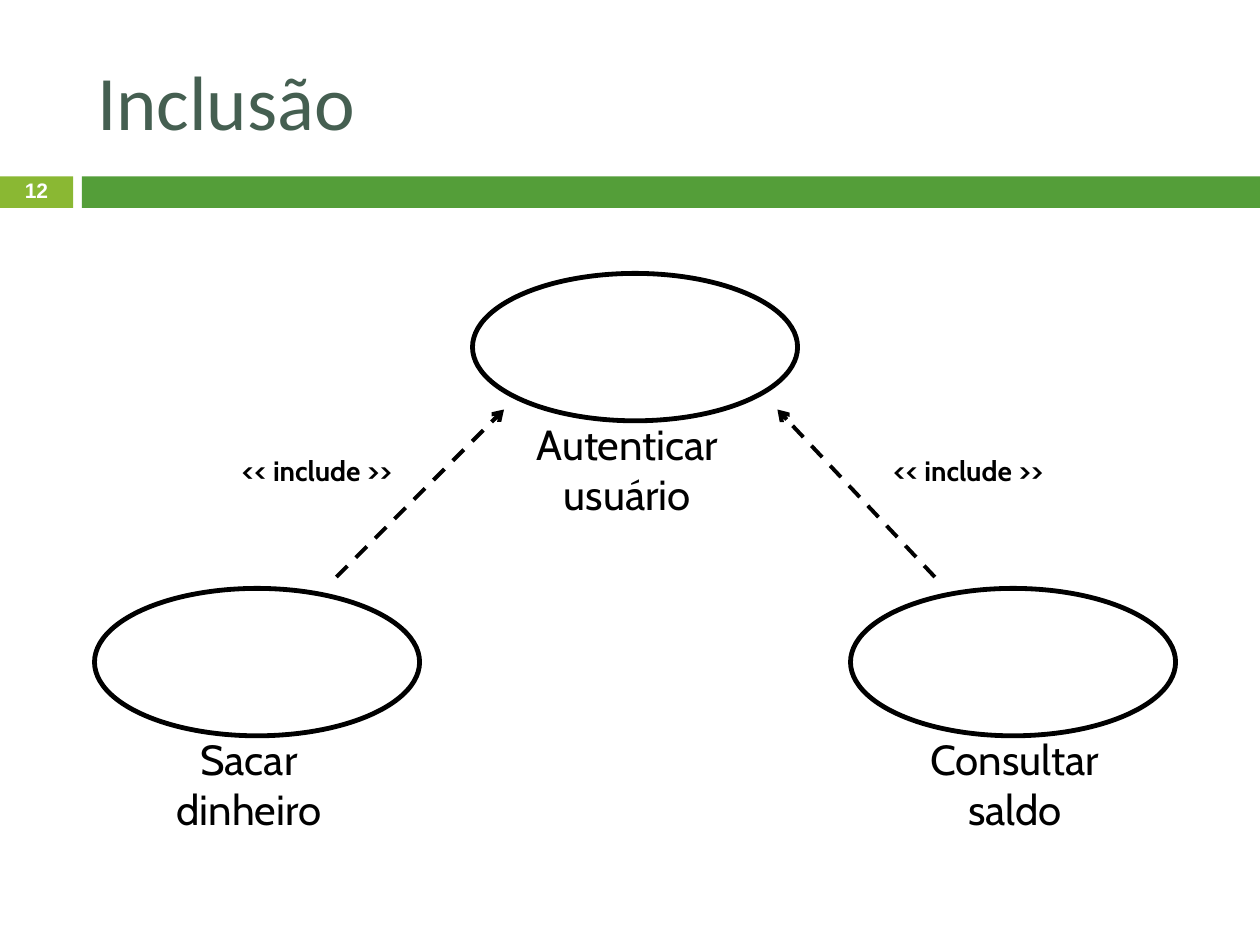
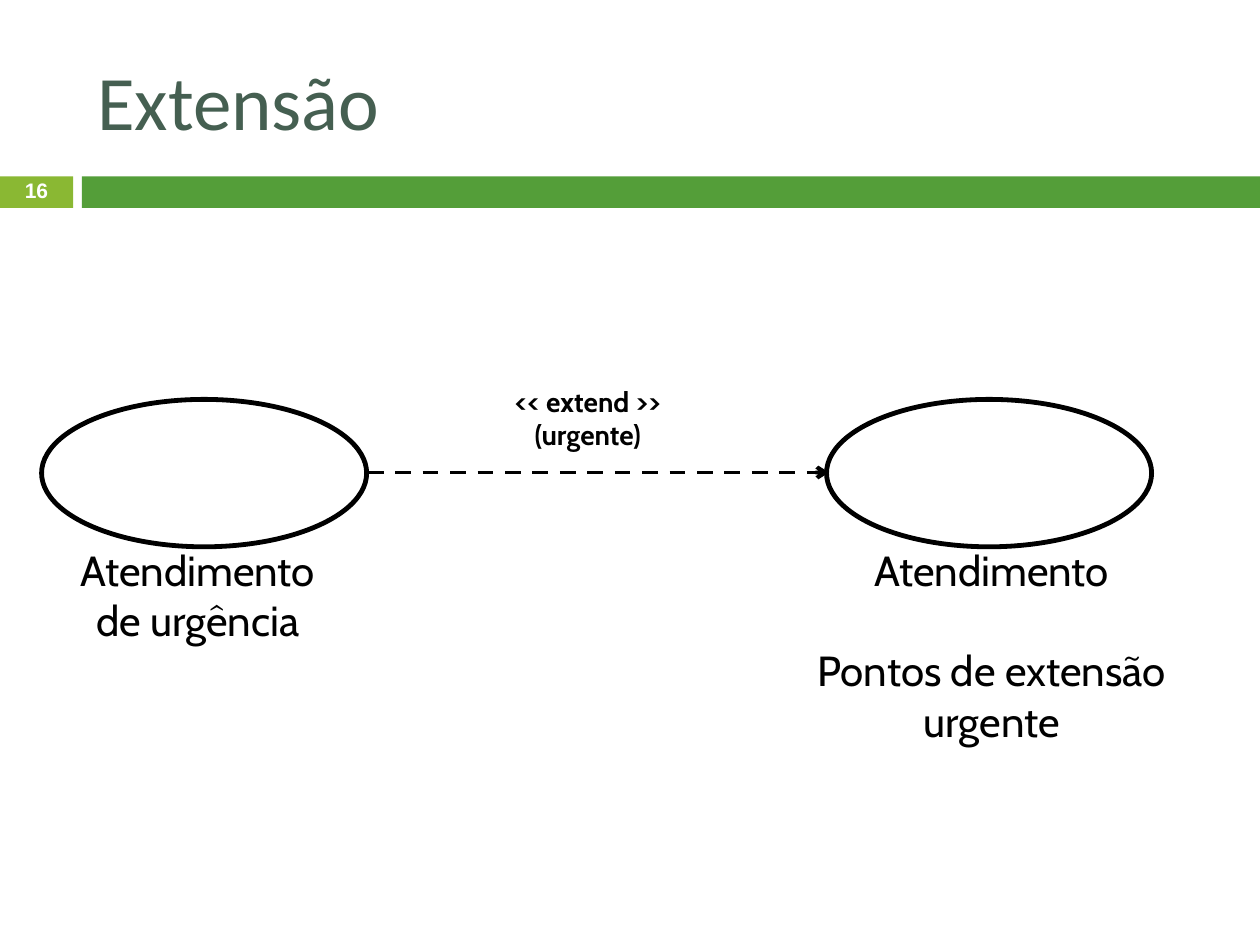
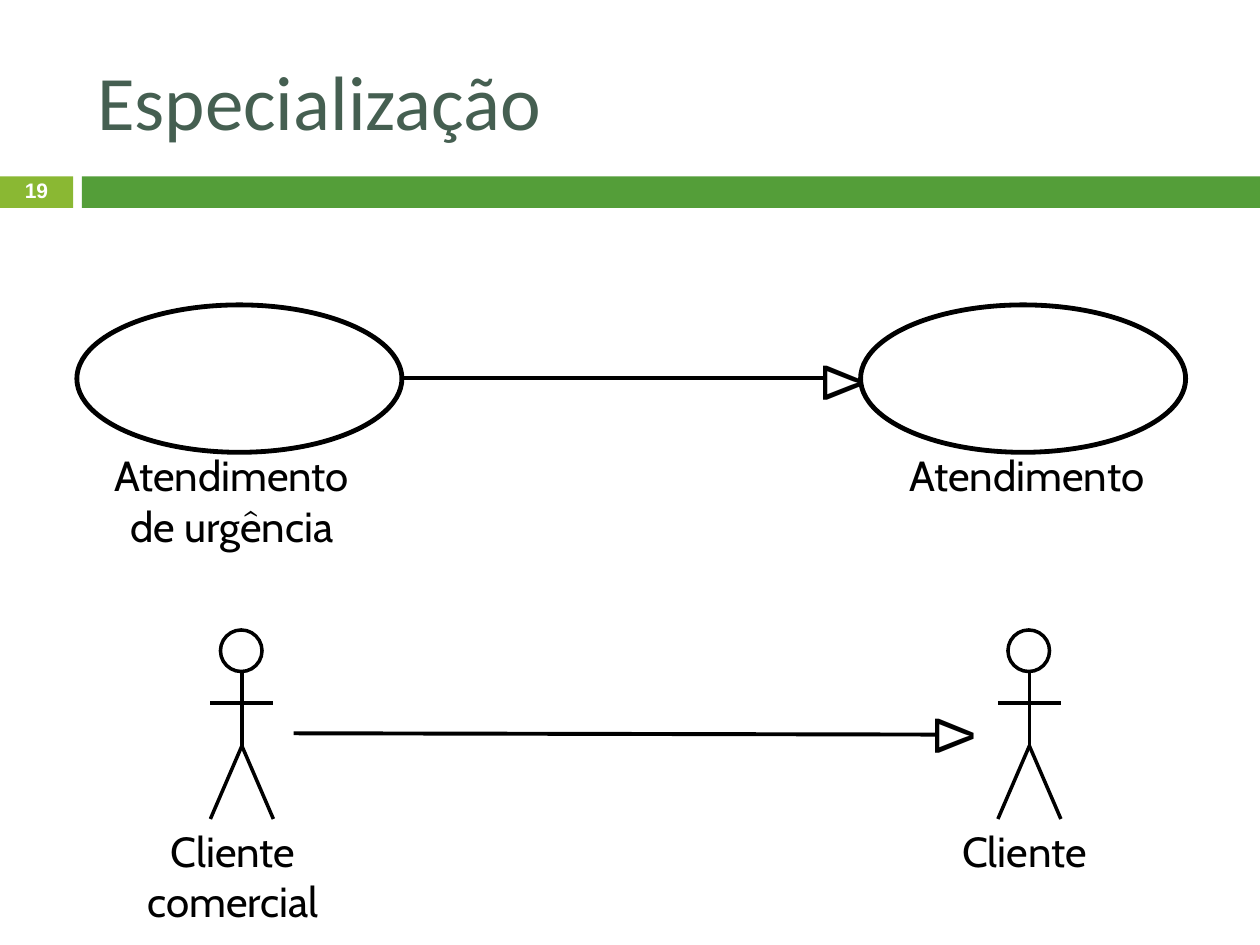
from lxml import etree
from pptx import Presentation
from pptx.dml.color import RGBColor
from pptx.enum.dml import MSO_LINE as Dash
from pptx.enum.shapes import MSO_CONNECTOR as Conn, MSO_SHAPE as Shape
from pptx.enum.text import MSO_ANCHOR as Anchor, MSO_AUTO_SIZE as Fit, PP_ALIGN as Align
from pptx.oxml.ns import qn
from pptx.util import Inches, Pt

# Colours and fonts
BLACK = RGBColor(0x00, 0x00, 0x00)
WHITE = RGBColor(0xFF, 0xFF, 0xFF)
LIME = RGBColor(0x8A, 0xB8, 0x33)
GREEN = RGBColor(0x54, 0x9E, 0x39)
SLATE = RGBColor(0x45, 0x5F, 0x51)
HEAD, BODY, PLAIN = "Calibri", "Cabin", "Arial"

# Size of a use case
CASE_W, CASE_H = 2.58, 1.17


def write(frame, text, font=BODY, size=24, color=BLACK, bold=False,
          align=Align.CENTER, anchor=Anchor.TOP, fit=Fit.NONE, wrap=False,
          lead=None, gaps=None):
    """Fill a frame, one paragraph a line; gaps maps a line to its space before."""
    frame.word_wrap = wrap
    frame.auto_size = fit
    frame.vertical_anchor = anchor
    for i, line in enumerate(text.split("\n")):
        para = frame.add_paragraph() if i else frame.paragraphs[0]
        para.alignment = align
        if lead:
            para.line_spacing = lead
        if gaps and i in gaps:
            para.space_before = Pt(gaps[i])
        run = para.add_run()
        run.text = line
        run.font.name = font
        run.font.size = Pt(size)
        run.font.bold = bold
        run.font.color.rgb = color


class Deck:
    def __init__(self):
        self.prs = Presentation()
        self.prs.slide_width = Inches(10)
        self.prs.slide_height = Inches(7.5)
        self.home = None  # shapes of the current slide or group

    def slide(self, title, number):
        slide = self.prs.slides.add_slide(self.prs.slide_layouts[5])
        self.home = slide.shapes
        # Title
        head = self.home.title
        head.left, head.top = Inches(0.67), Inches(0.25)
        head.width, head.height = Inches(8.92), Inches(1.08)
        write(head.text_frame, title, font=HEAD, size=44, color=SLATE,
              align=Align.LEFT, anchor=Anchor.MIDDLE, wrap=True)
        # Bands and slide number
        self.shape(Shape.RECTANGLE, 0, 1.4, 0.58, 0.25, fill=LIME)
        self.shape(Shape.RECTANGLE, 0.65, 1.4, 9.35, 0.25, fill=GREEN)
        self.text(str(number), 0, 1.39, 0.58, 0.27, font=PLAIN, size=12, color=WHITE,
                  bold=True, anchor=Anchor.MIDDLE, wrap=True, lead=0.8)

    def shape(self, kind, x, y, w, h, fill=None, weight=None):
        item = self.home.add_shape(kind, Inches(x), Inches(y), Inches(w), Inches(h))
        item.shadow.inherit = False
        if fill:
            item.fill.solid()
            item.fill.fore_color.rgb = fill
        else:
            item.fill.background()
        if weight:
            item.line.color.rgb = BLACK
            item.line.width = Pt(weight)
        else:
            item.line.fill.background()

    def text(self, text, x, y, w, h, turn=0, **style):
        box = self.home.add_textbox(Inches(x), Inches(y), Inches(w), Inches(h))
        box.rotation = turn
        write(box.text_frame, text, **style)

    def line(self, x1, y1, x2, y2, weight=2.25, arrow=False):
        item = self.home.add_connector(
            Conn.STRAIGHT, Inches(x1), Inches(y1), Inches(x2), Inches(y2))
        item.line.color.rgb = BLACK
        item.line.width = Pt(weight)
        if arrow:
            item.line.dash_style = Dash.DASH
            tip = etree.SubElement(item.line._get_or_add_ln(), qn("a:tailEnd"))
            tip.set("type", "arrow")
        etree.SubElement(item._element.spPr, qn("a:effectLst"))

    def label(self, text, x, y, w, h=None, **style):
        rows = text.count("\n") + 1
        self.text(text, x, y, w, h or 0.1 + 0.4 * rows, fit=Fit.SHAPE_TO_FIT_TEXT, **style)

    def case(self, x, y, text, left, w, **style):
        """Use case: an ellipse with its name below."""
        self.shape(Shape.OVAL, x, y, CASE_W, CASE_H, weight=2.75)
        self.label(text, left, y + 1.1, w, **style)

    def actor(self, mid, top, text, left, w):
        """Stick figure centred on mid, with its name below."""
        outer = self.home
        self.home = outer.add_group_shape().shapes
        hip, foot = top + 0.92, top + 1.5
        self.shape(Shape.OVAL, mid - 0.17, top, 0.33, 0.33, weight=2)
        self.line(mid, hip, mid, top + 0.33, weight=2)
        for side in (-0.25, 0.25):
            self.line(mid + side, foot, mid, hip, weight=2)
        self.line(mid - 0.25, top + 0.58, mid + 0.25, top + 0.58, weight=2)
        self.home = outer
        self.label(text, left, foot, w)

    def parent(self, x1, y1, x2, y2, tip):
        """Line with a hollow triangle, from the special to the general."""
        self.line(x1, y1, x2, y2)
        self.label("Δ", x2 - 0.06, tip, 0.47, 0.64, turn=90,
                   font=PLAIN, size=32, align=Align.LEFT)


def main():
    deck = Deck()

    # Inclusion
    deck.slide("Inclusão", 12)
    deck.case(0.75, 4.67, "Sacar\ndinheiro", 1.22, 1.51)
    deck.case(6.75, 4.67, "Consultar\nsaldo", 7.2, 1.71)
    deck.case(3.75, 2.17, "Autenticar\nusuário", 4.07, 1.82)
    for x1, x2, left in ((2.67, 4, 1.7), (7.42, 6.17, 6.87)):
        deck.line(x1, 4.58, x2, 3.25, arrow=True)
        deck.label("<< include >>", left, 3.55, 1.63, 0.37, size=16, bold=True)

    # Extension
    deck.slide("Extensão", 16)
    deck.case(6.56, 3.17, "Atendimento\nPontos de extensão\nurgente", 6.23, 3.28,
              h=1.7, gaps={1: 28.8})
    deck.case(0.33, 3.17, "Atendimento\nde urgência", 0.45, 2.24)
    deck.line(2.92, 3.75, 6.58, 3.75, arrow=True)
    deck.label("<< extend >>\n(urgente)", 3.87, 3, 1.59, 0.64, size=16, bold=True)

    # Specialization
    deck.slide("Especialização", 19)
    deck.case(6.83, 2.42, "Atendimento", 7.03, 2.24)
    deck.case(0.61, 2.42, "Atendimento\nde urgência", 0.72, 2.24)
    deck.parent(3.19, 3, 6.53, 3, tip=2.71)
    deck.actor(1.92, 5, "Cliente\ncomercial", 0.99, 1.72)
    deck.actor(8.17, 5, "Cliente", 7.49, 1.28)
    deck.parent(2.33, 5.82, 7.42, 5.83, tip=5.51)

    deck.prs.save("out.pptx")


if __name__ == "__main__":
    main()
